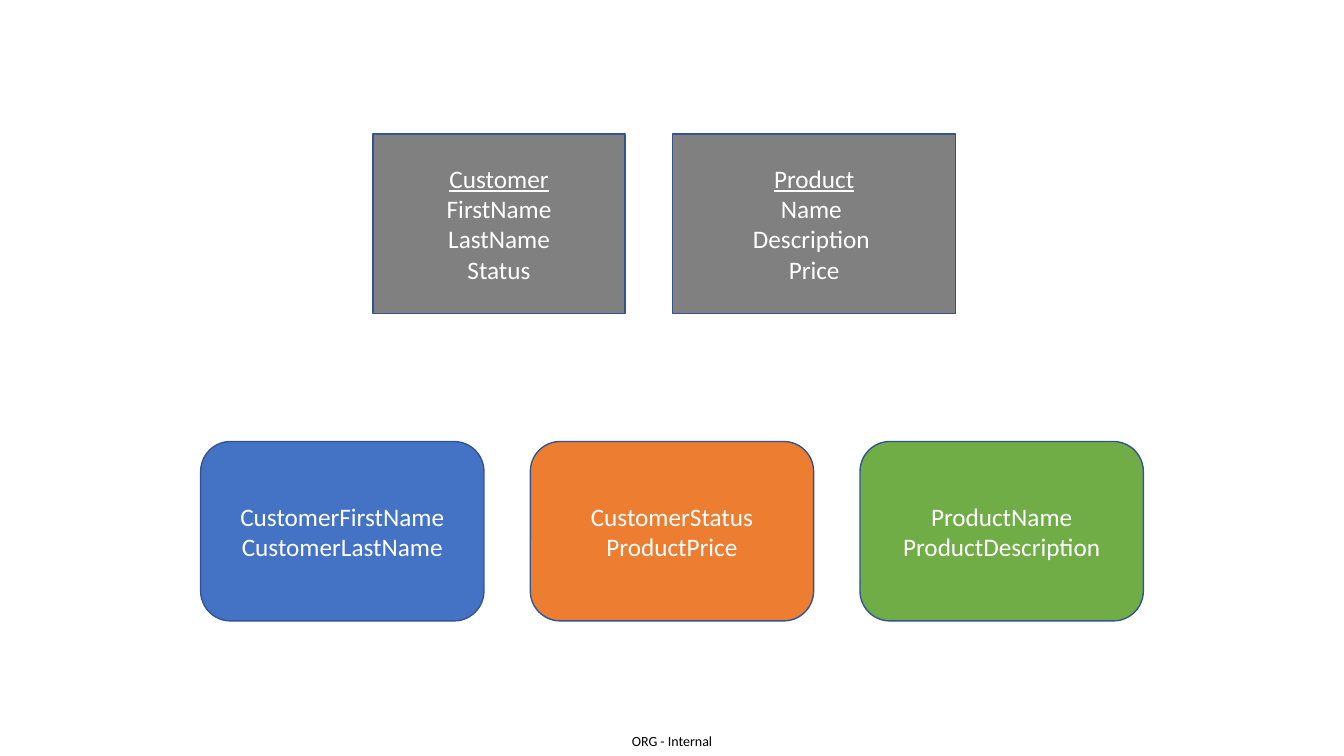
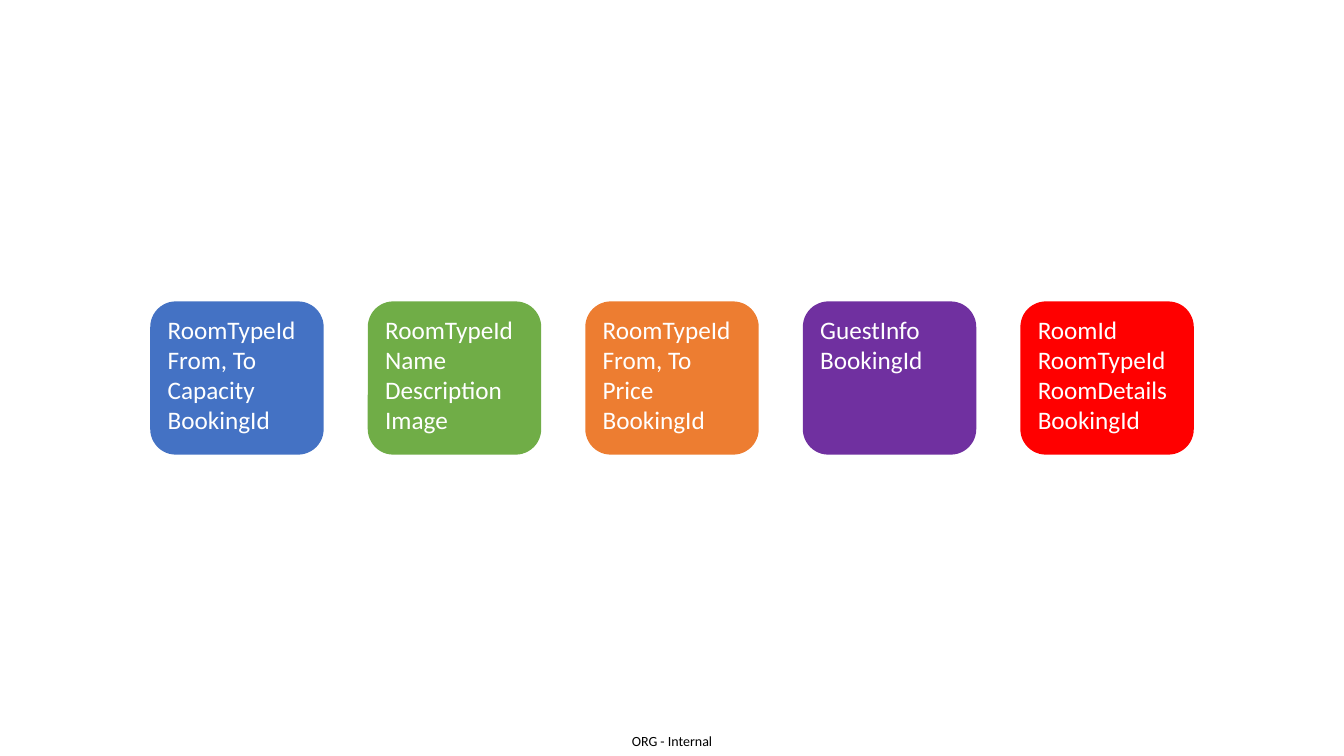
"""Builds two slides that show how data fields are split between services."""
import dataclasses

import pptx
import pptx.dml.color
import pptx.enum.shapes
import pptx.enum.text
import pptx.util

SHAPES = pptx.enum.shapes.MSO_SHAPE
ALIGN = pptx.enum.text.PP_ALIGN
ANCHOR = pptx.enum.text.MSO_ANCHOR
EMU_PER_PX = 9144


@dataclasses.dataclass(frozen=True)
class Theme:
    font: str = "Calibri"
    body_size: int = 18
    footer_size: int = 10
    line_width: int = 1
    white: str = "FFFFFF"
    black: str = "000000"
    gray: str = "808080"
    navy: str = "325491"
    blue: str = "4472C4"
    orange: str = "ED7D31"
    green: str = "70AD47"
    purple: str = "7030A0"
    red: str = "FF0000"


@dataclasses.dataclass(frozen=True)
class CardStyle:
    shape: SHAPES
    outlined: bool
    align: ALIGN
    anchor: ANCHOR
    heading: bool = False


THEME = Theme()
ENTITY = CardStyle(SHAPES.RECTANGLE, True, ALIGN.CENTER, ANCHOR.MIDDLE, heading=True)
SERVICE = CardStyle(SHAPES.ROUNDED_RECTANGLE, True, ALIGN.CENTER, ANCHOR.MIDDLE)
FIELD_LIST = CardStyle(SHAPES.ROUNDED_RECTANGLE, False, ALIGN.LEFT, ANCHOR.TOP)


def px(length):
    return pptx.util.Emu(round(length * EMU_PER_PX))


def rgb(color):
    return pptx.dml.color.RGBColor.from_string(color)


def write_lines(frame, lines, size, color, align, heading=False):
    for index, line in enumerate(lines):
        para = frame.add_paragraph() if index else frame.paragraphs[0]
        para.alignment = align
        span = para.add_run()
        span.text = line
        span.font.name = THEME.font
        span.font.size = pptx.util.Pt(size)
        span.font.color.rgb = rgb(color)
        if heading and index == 0:
            span.font.underline = True


def add_card(page, box, color, lines, style):
    card = page.shapes.add_shape(style.shape, *map(px, box))
    card.shadow.inherit = False
    card.fill.solid()
    card.fill.fore_color.rgb = rgb(color)
    if style.outlined:
        card.line.color.rgb = rgb(THEME.navy)
        card.line.width = pptx.util.Pt(THEME.line_width)
    else:
        card.line.fill.background()
    frame = card.text_frame
    frame.word_wrap = True
    frame.vertical_anchor = style.anchor
    write_lines(frame, lines, THEME.body_size, THEME.white, style.align, style.heading)


def add_card_row(page, box, widths, cards, style):
    left, top, width, height = box
    gap = (width - sum(widths)) / (len(widths) - 1)
    for card_width, (color, lines) in zip(widths, cards):
        add_card(page, (left, top, card_width, height), color, lines, style)
        left += card_width + gap


def add_footer(page, box):
    footer = page.shapes.add_textbox(*map(px, box))
    frame = footer.text_frame
    frame.word_wrap = True
    frame.vertical_anchor = ANCHOR.MIDDLE
    frame.margin_left = frame.margin_right = 0
    frame.margin_top = frame.margin_bottom = 0
    write_lines(frame, ["ORG - Internal"], THEME.footer_size, THEME.black, ALIGN.CENTER)


def add_page(deck):
    page = deck.slides.add_slide(deck.slide_layouts[6])
    add_footer(page, (612, 721, 109, 29))
    return page


def build_entity_page(deck):
    page = add_page(deck)
    entities = [
        (THEME.gray, ["Customer", "FirstName", "LastName", "Status"]),
        (THEME.gray, ["Product", "Name ", "Description ", "Price"]),
    ]
    services = [
        (THEME.blue, ["CustomerFirstName", "CustomerLastName"]),
        (THEME.orange, ["CustomerStatus", "ProductPrice"]),
        (THEME.green, ["ProductName", "ProductDescription"]),
    ]
    add_card_row(page, (370, 133, 578, 178), [250, 281], entities, ENTITY)
    add_card_row(page, (199, 438, 935, 178), [281] * 3, services, SERVICE)


def build_booking_page(deck):
    page = add_page(deck)
    services = [
        (THEME.blue, ["RoomTypeId", "From, To", "Capacity", "BookingId"]),
        (THEME.green, ["RoomTypeId", "Name", "Description", "Image"]),
        (THEME.orange, ["RoomTypeId", "From, To", "Price", "BookingId"]),
        (THEME.purple, ["GuestInfo", "BookingId"]),
        (THEME.red, ["RoomId", "RoomTypeId", "RoomDetails", "BookingId"]),
    ]
    add_card_row(page, (149, 299, 1035, 152), [172] * 5, services, FIELD_LIST)


def main():
    deck = pptx.Presentation()
    deck.slide_width, deck.slide_height = px(1333), px(750)
    build_entity_page(deck)
    build_booking_page(deck)
    deck.save("out.pptx")


if __name__ == "__main__":
    main()
